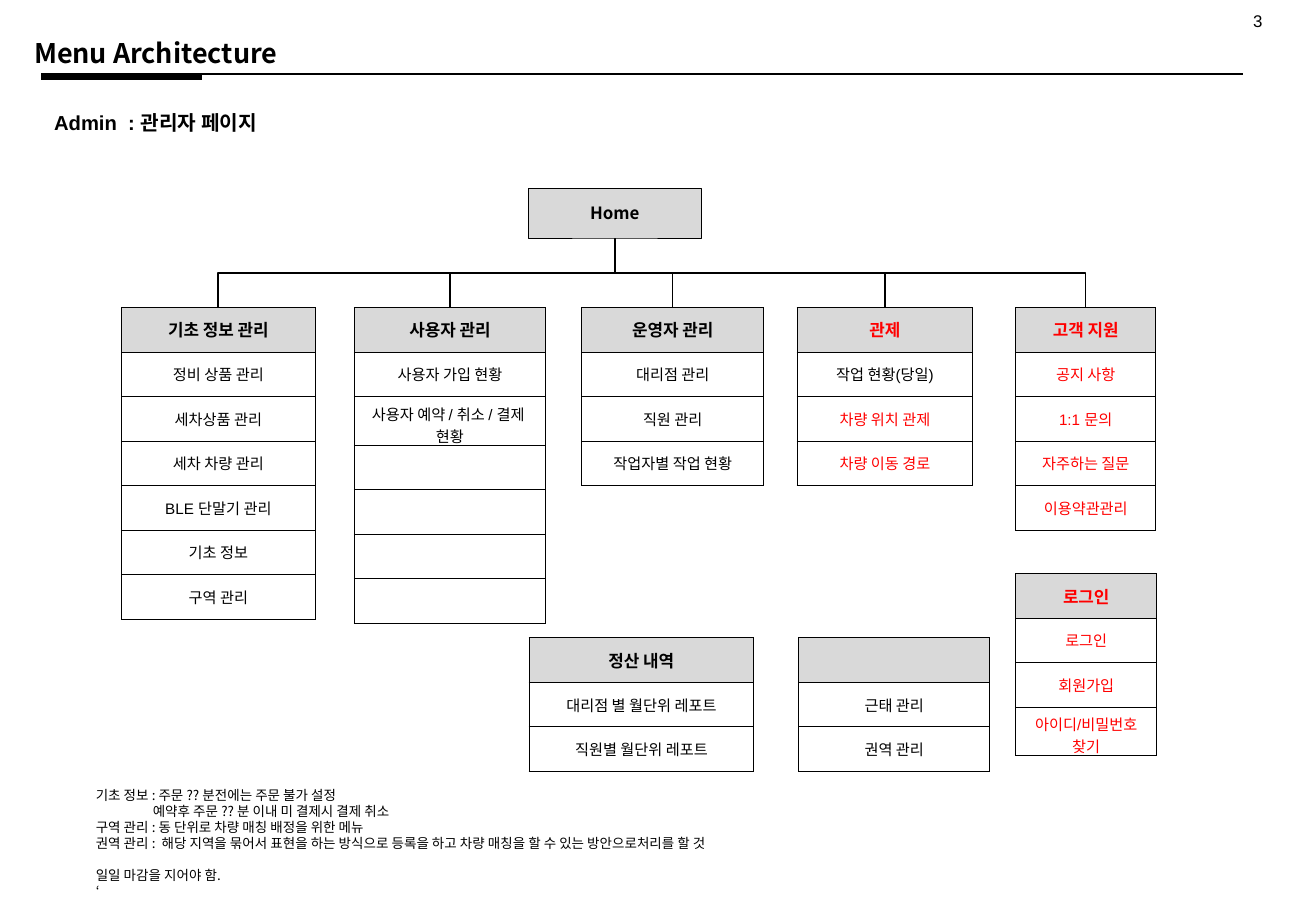
from dataclasses import dataclass

from lxml.etree import SubElement
from pptx import Presentation
from pptx.dml.color import RGBColor
from pptx.enum.shapes import MSO_CONNECTOR, MSO_SHAPE
from pptx.enum.text import MSO_ANCHOR, MSO_AUTO_SIZE, PP_ALIGN
from pptx.oxml.ns import qn
from pptx.util import Pt

COLORS = {"ink": "000000", "alert": "FF0000", "header": "D9D9D9", "paper": "FFFFFF"}
SANS = "Noto Sans CJK KR"
LATIN = "Arial"
ROW_HEIGHT = 26.4
MENU_TOP = 182.2
LOWER_TOP = 378
HOME_BOX = (313.2, 111.6, 102.4, 29.5)

FORMATS = {
    "page number": {"size": Pt(10), "bold": False, "name": LATIN},
    "title": {"size": Pt(16), "bold": True, "name": SANS},
    "subtitle": {"size": Pt(12), "bold": True, "name": LATIN},
    "header": {"size": Pt(10), "bold": True, "name": SANS},
    "item": {"size": Pt(9), "bold": False, "name": LATIN},
    "notes": {"size": Pt(8), "bold": False, "name": SANS},
}


@dataclass
class Menu:
    left: float
    top: float
    width: float
    rows: list
    alert_rows: tuple = ()


MENUS = [
    Menu(72, MENU_TOP, 114.8, ["기초 정보 관리", "정비 상품 관리", "세차상품 관리", "세차 차량 관리",
                               "BLE 단말기 관리", "기초 정보", "구역 관리"]),
    Menu(210, MENU_TOP, 113.4, ["사용자 관리", "사용자 가입 현황",
                                "사용자 예약 / 취소 / 결제  현황", "", "", "", ""]),
    Menu(344.7, MENU_TOP, 108, ["운영자 관리", "대리점 관리", "직원 관리", "작업자별 작업 현황"]),
    Menu(472.4, MENU_TOP, 104.2, ["관제", "작업 현황(당일)", "차량 위치 관제", "차량 이동 경로"], (0, 2, 3)),
    Menu(602, MENU_TOP, 83, ["고객 지원", "공지 사항", "1:1 문의", "자주하는 질문", "이용약관관리"],
         (0, 1, 2, 3, 4)),
    Menu(602, 340, 83.6, ["로그인", "로그인", "회원가입", "아이디/비밀번호 찾기"], (0, 1, 2, 3)),
    Menu(313.5, LOWER_TOP, 133.2, ["정산 내역", "대리점 별 월단위 레포트", "직원별 월단위 레포트"]),
    Menu(473.5, LOWER_TOP, 113, ["", "근태 관리", "권역 관리"]),
]

NOTES = [
    ("기초 정보 : 주문 ?? 분전에는 주문 불가 설정", 0, 0),
    ("예약후 주문 ?? 분 이내 미 결제시 결제 취소", 33.8, 0),
    ("구역 관리 : 동 단위로 차량 매칭 배정을 위한 메뉴", 0, 0),
    ("권역 관리 :  해당 지역을 묶어서 표현을 하는 방식으로 등록을 하고 차량 매칭을 할 수 있는 방안으로처리를 할 것", 0, 0),
    ("일일 마감을 지어야 함.", 0, 9.5),
    ("‘", 0, 0),
]


def color(name):
    return RGBColor.from_string(COLORS[name])


def write(para, text, style, ink="ink", align=PP_ALIGN.LEFT):
    para.alignment = align
    if not text:
        SubElement(para._p, qn("a:endParaRPr"), sz=str(int(FORMATS[style]["size"].pt * 100)))
        return
    span = para.add_run()
    span.text = text
    for attribute, value in FORMATS[style].items():
        setattr(span.font, attribute, value)
    span.font.color.rgb = color(ink)
    SubElement(span._r.get_or_add_rPr(), qn("a:ea"), typeface=SANS)


def add_text(page, box, text, style):
    frame = page.shapes.add_textbox(*map(Pt, box)).text_frame
    frame.word_wrap = False
    write(frame.paragraphs[0], text, style)


def add_line(page, kind, start, end, width):
    connector = page.shapes.add_connector(kind, *map(Pt, start + end))
    connector.line.color.rgb = color("ink")
    connector.line.width = Pt(width)
    SubElement(connector._element.spPr, qn("a:effectLst"))
    return connector


def add_heading(page, box):
    left, top, width, height = box
    title = page.shapes.title
    places = {"left": left, "top": top, "width": width, "height": height}
    for attribute, value in places.items():
        setattr(title, attribute, Pt(value))
    frame = title.text_frame
    settings = {"word_wrap": True, "auto_size": MSO_AUTO_SIZE.NONE, "vertical_anchor": MSO_ANCHOR.TOP}
    for attribute, value in settings.items():
        setattr(frame, attribute, value)
    write(frame.paragraphs[0], "Menu Architecture", "title")
    rule_left = left + 11.5
    for offset, length, weight in ((26, 712, 1), (27.8, 95.5, 3)):
        y = top + offset
        add_line(page, MSO_CONNECTOR.STRAIGHT, (rule_left, y), (rule_left + length, y), weight)
    add_text(page, (rule_left + 13 - 12.5, top + 44, 150, 21.6), "Admin  : 관리자 페이지", "subtitle")


def add_home(page, box):
    home = page.shapes.add_shape(MSO_SHAPE.RECTANGLE, *map(Pt, box))
    home.shadow.inherit = False
    home.fill.solid()
    home.fill.fore_color.rgb = color("header")
    home.line.color.rgb = color("ink")
    home.line.width = Pt(0.5)
    home.text_frame.vertical_anchor = MSO_ANCHOR.MIDDLE
    write(home.text_frame.paragraphs[0], "Home", "header", align=PP_ALIGN.CENTER)


def add_branch(page, home_box, menu):
    left, top, width, height = home_box
    start_x, start_y = left + width / 2, top + height
    end_x, end_y = menu.left + menu.width / 2, menu.top
    center_x, center_y = (start_x + end_x) / 2, (start_y + end_y) / 2
    half_drop, half_run = (end_y - start_y) / 2, abs(end_x - start_x) / 2
    side = 1 if end_x < start_x else -1
    branch = add_line(page, MSO_CONNECTOR.ELBOW,
                      (center_x - side * half_drop, center_y - half_run),
                      (center_x + side * half_drop, center_y + half_run), 1)
    turn = 90 if side == 1 else 270
    branch._element.spPr.find(qn("a:xfrm")).set("rot", str(turn * 60000))


def add_borders(cell):
    properties = cell._tc.get_or_add_tcPr()
    for index, edge in enumerate(("a:lnL", "a:lnR", "a:lnT", "a:lnB")):
        line = SubElement(properties, qn(edge), w=str(Pt(0.5)))
        fill = SubElement(line, qn("a:solidFill"))
        SubElement(fill, qn("a:srgbClr"), val=COLORS["ink"])
        properties.insert(index, line)


def add_menu(page, menu):
    count = len(menu.rows)
    table = page.shapes.add_table(count, 1, Pt(menu.left), Pt(menu.top), Pt(menu.width),
                                  Pt(ROW_HEIGHT * count)).table
    table.first_row = table.horz_banding = False
    for index, text in enumerate(menu.rows):
        table.rows[index].height = Pt(ROW_HEIGHT)
        cell = table.cell(index, 0)
        cell.fill.solid()
        cell.fill.fore_color.rgb = color("paper" if index else "header")
        cell.vertical_anchor = MSO_ANCHOR.MIDDLE
        add_borders(cell)
        write(cell.text_frame.paragraphs[0], text, "item" if index else "header",
              "alert" if index in menu.alert_rows else "ink", PP_ALIGN.CENTER)


def add_notes(page, box):
    frame = page.shapes.add_textbox(*map(Pt, box)).text_frame
    frame.word_wrap = False
    for index, (text, indent, gap) in enumerate(NOTES):
        para = frame.add_paragraph() if index else frame.paragraphs[0]
        para.line_spacing = Pt(9.5)
        para.space_before = Pt(gap)
        write(para, text, "notes")
        para._p.get_or_add_pPr().set("marL", str(Pt(indent)))


def build_menu_page(deck):
    page = deck.slides.add_slide(deck.slide_layouts[5])
    add_text(page, (735.6, 2.9, 27.4, 19.4), "3", "page number")
    add_heading(page, (13, 18, 336, 26.6))
    for menu in MENUS:
        if menu.top == MENU_TOP:
            add_branch(page, HOME_BOX, menu)
    add_home(page, HOME_BOX)
    for menu in MENUS:
        add_menu(page, menu)
    add_notes(page, (49.7, 463, 430, 77))


def main():
    deck = Presentation()
    deck.slide_width, deck.slide_height = Pt(780), Pt(540)
    build_menu_page(deck)
    deck.save("out.pptx")


if __name__ == "__main__":
    main()
